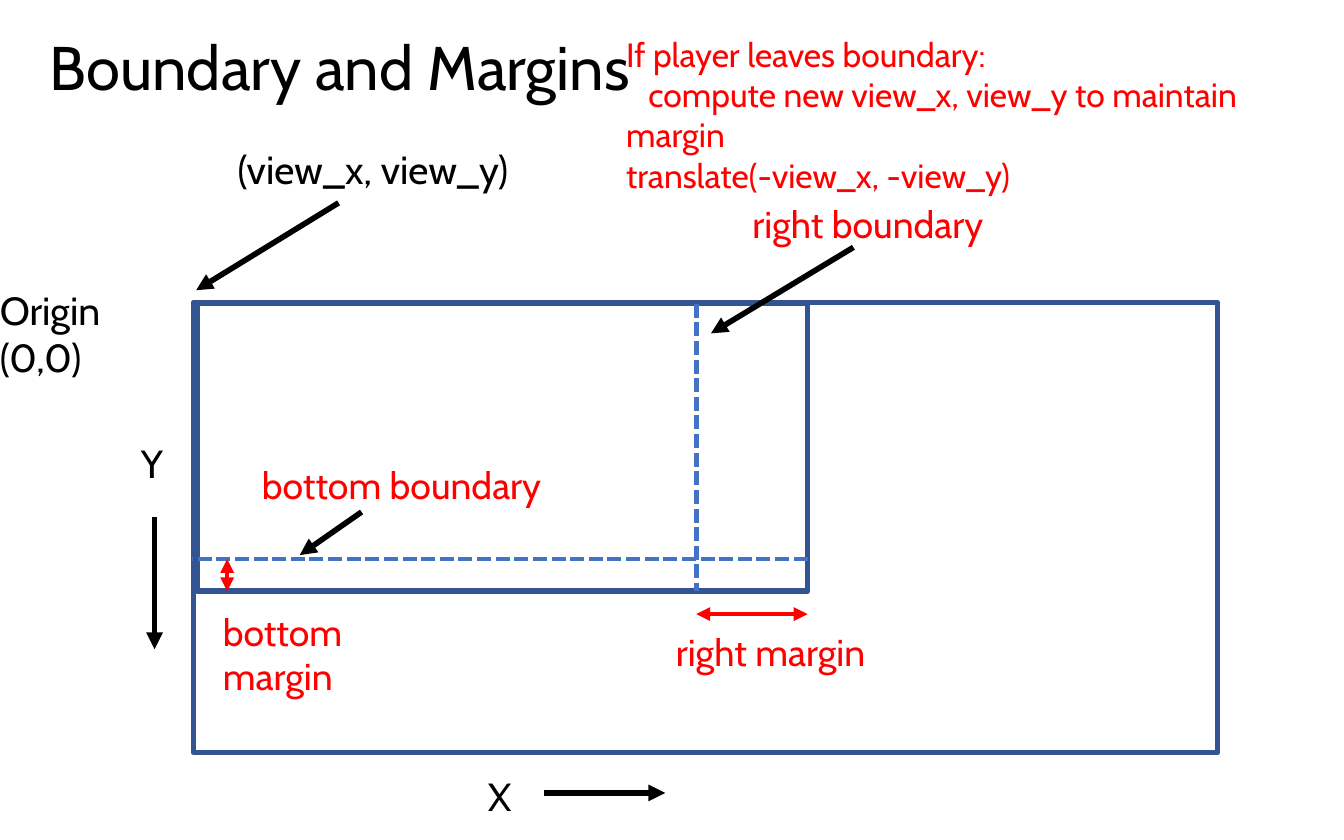
from pptx import Presentation
from pptx.dml.color import RGBColor
from pptx.enum.dml import MSO_LINE
from pptx.enum.shapes import MSO_CONNECTOR, MSO_SHAPE
from pptx.enum.text import MSO_ANCHOR, PP_ALIGN
from pptx.oxml.ns import qn
from pptx.util import Pt
from lxml.etree import SubElement

BLACK = RGBColor(0, 0, 0)
RED = RGBColor(255, 0, 0)
NAVY = RGBColor(0x32, 0x54, 0x91)
BLUE = RGBColor(0x44, 0x72, 0xC4)
FONT = "Cabin"

TITLE = "Boundary and Margins"
WORLD = (103.7, 162, 548.6, 241.2)
VIEW = (105.8, 162.7, 326.9, 154.1)
RIGHT, BOTTOM = 373, 299.5
EDGE = VIEW[0] + VIEW[2]
TOP, BASE = VIEW[1], VIEW[1] + VIEW[3]

LABELS = [
    ("Origin (0,0)", -7.2, 149.8, 115, 21, BLACK),
    ("X", 254.2, 410.4, 29.5, 21, BLACK),
    ("Y", 68.4, 231.8, 27.4, 21, BLACK),
    ("(view_x, view_y)", 120.2, 74.2, 194.4, 21, BLACK),
    ("right boundary", 396, 104.4, 154, 20, RED),
    ("right margin", 355, 333.4, 117, 20, RED),
    ("bottom boundary", 133.2, 244, 166.3, 20, RED),
    ("bottom margin", 112.3, 322.6, 136, 20, RED),
]
RULE = [
    ("If player leaves boundary:", 0),
    ("compute new view_x, view_y to maintain margin", 12),
    ("translate(-view_x, -view_y)", 0),
]
BOUNDS = [
    (RIGHT, TOP, RIGHT, BASE),
    (EDGE, BOTTOM, 103, BOTTOM),
]
ARROWS = [
    (82.8, 277.2, 82.8, 347.8),
    (291.6, 424.8, 356.4, 424.8),
    (457.2, 132.5, 380.9, 178.6),
    (193.7, 274.3, 160.6, 297.4),
    (181.4, 108.7, 105.1, 155.5),
]
SPANS = [
    (RIGHT, 329, EDGE, 329),
    (121.7, BOTTOM, 121.7, BASE),
]


def style(para, size, color):
    para.alignment = PP_ALIGN.LEFT
    for run in para.runs:
        run.font.name = FONT
        run.font.size = Pt(size)
        run.font.color.rgb = color


def frame(slide, box):
    rect = slide.shapes.add_shape(MSO_SHAPE.RECTANGLE, *map(Pt, box))
    rect.shadow.inherit = False
    rect.fill.background()
    rect.line.color.rgb = NAVY
    rect.line.width = Pt(3)


def line(slide, ends, color, width, dash=None, heads=()):
    link = slide.shapes.add_connector(MSO_CONNECTOR.STRAIGHT, *map(Pt, ends))
    link.line.color.rgb = color
    link.line.width = Pt(width)
    if dash:
        link.line.dash_style = dash
    props = link._element.spPr
    for head in heads:
        SubElement(props.find(qn("a:ln")), qn(head), type="triangle")
    SubElement(props, qn("a:effectLst"))


def label(slide, rows, left, top, width, height, size, color):
    box = slide.shapes.add_textbox(Pt(left), Pt(top), Pt(width), Pt(height))
    body = box.text_frame
    body.word_wrap = True
    body.text = "\n".join(text for text, _ in rows)
    for para, (_, indent) in zip(body.paragraphs, rows):
        if indent:
            para._p.get_or_add_pPr().set("indent", str(Pt(indent)))
        style(para, size, color)


def main():
    deck = Presentation()
    deck.slide_width, deck.slide_height = Pt(720), Pt(450)
    slide = deck.slides.add_slide(deck.slide_layouts[5])

    title = slide.shapes.title
    title.left, title.top = Pt(19.4), Pt(11.5)
    title.width, title.height = Pt(620.6), Pt(52.6)
    title.text_frame.text = TITLE
    title.text_frame.vertical_anchor = MSO_ANCHOR.MIDDLE
    head = title.text_frame.paragraphs[0]
    head.line_spacing = 0.9
    style(head, 33, BLACK)

    for box in (WORLD, VIEW):
        frame(slide, box)
    for ends in BOUNDS:
        line(slide, ends, BLUE, 2.5, dash=MSO_LINE.SQUARE_DOT)
    for ends in ARROWS:
        line(slide, ends, BLACK, 3, heads=["a:tailEnd"])
    for ends in SPANS:
        line(slide, ends, RED, 2.5, heads=["a:headEnd", "a:tailEnd"])
    for text, left, top, width, size, color in LABELS:
        label(slide, [(text, 0)], left, top, width, 32, size, color)
    label(slide, RULE, 328.3, 14.4, 389.5, 72.7, 18, RED)

    deck.save("out.pptx")


if __name__ == "__main__":
    main()
